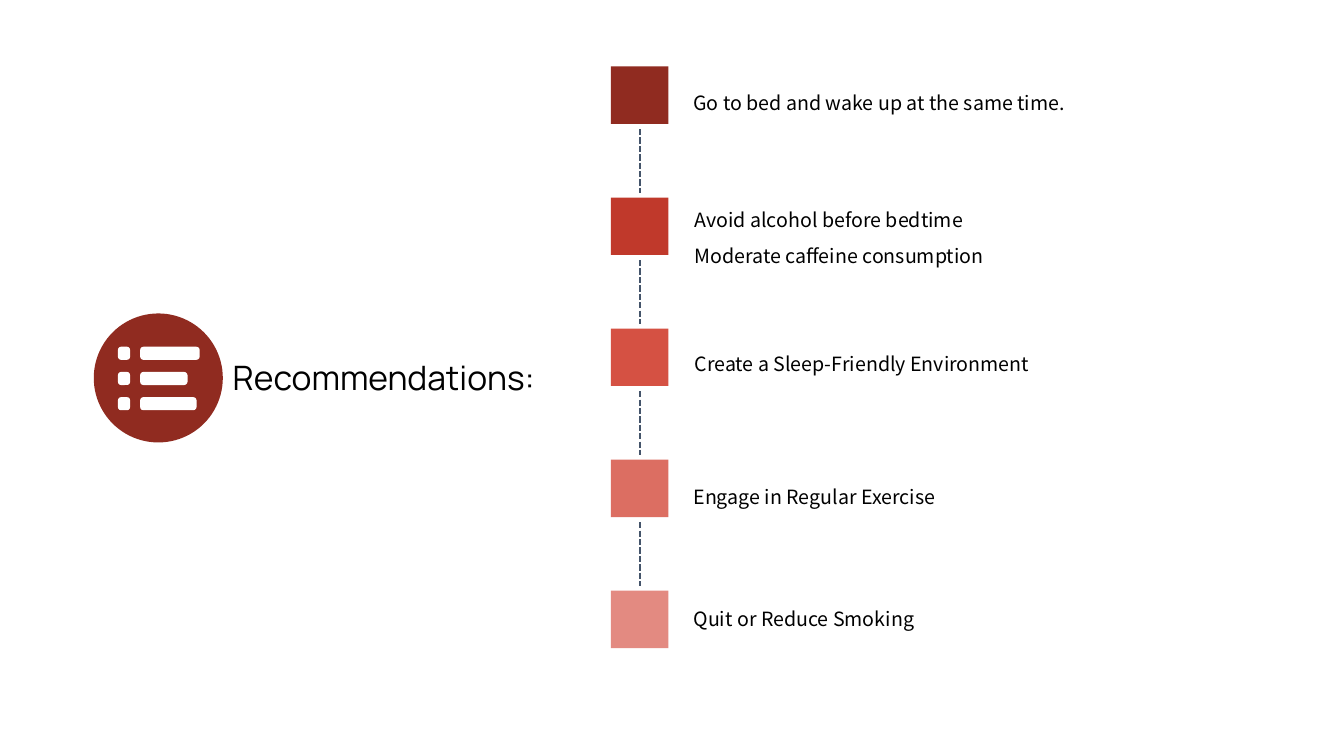
"""Build the sleep recommendations slide with a five-step vertical timeline."""
from dataclasses import dataclass

import pptx
import pptx.dml.color
import pptx.enum.dml
import pptx.enum.shapes
import pptx.oxml
import pptx.util


@dataclass(frozen=True)
class Theme:
    dark: str = "902B20"
    steps: tuple = ("902B20", "C0392B", "D55143", "DC6E62", "E38A81")
    dash: str = "44546A"
    white: str = "FFFFFF"
    text: str = "000000"
    title_font: str = "Manrope"
    body_font: str = "Noto Sans CJK SC"
    title_size: int = 24
    body_size: int = 14


theme = Theme()
PX = 9144
SHAPE = pptx.enum.shapes.MSO_SHAPE
RGB = pptx.dml.color.RGBColor.from_string


def add_block(shapes, kind, box, color):
    s = shapes.add_shape(kind, *(v * PX for v in box))
    s.shadow.inherit = False
    s.fill.solid()
    s.fill.fore_color.rgb = RGB(color)
    s.line.fill.background()
    return s


def add_text(shapes, box, lines, font, size, spacing):
    tf = shapes.add_textbox(*(v * PX for v in box)).text_frame
    tf.word_wrap = True
    tf.text = "\n".join(lines)
    for p in tf.paragraphs:
        p.line_spacing = spacing
        p.font.name = font
        p.font.size = pptx.util.Pt(size)
        p.font.color.rgb = RGB(theme.text)


prs = pptx.Presentation()
prs.slide_width, prs.slide_height = 1333 * PX, 750 * PX
shapes = prs.slides.add_slide(prs.slide_layouts[6]).shapes

icon = shapes.add_group_shape().shapes
add_block(icon, SHAPE.OVAL, (93, 311, 128, 128), theme.dark)
for row, bar_width in enumerate((59, 47, 56)):
    for x, width in ((117, 12), (139, bar_width)):
        s = add_block(icon, SHAPE.ROUNDED_RECTANGLE,
                      (x, 344 + 25 * row, width, 13), theme.white)
        s.adjustments[0] = 0.25

add_text(shapes, (221, 349, 335, 50), ["Recommendations:"],
         theme.title_font, theme.title_size, 1.0)

SQUARE, STEP, FIRST_TOP, LEFT = 57, 130, 66, 606
AXIS = 635
for i, color in enumerate(theme.steps):
    top = FIRST_TOP + i * STEP
    add_block(shapes, SHAPE.RECTANGLE, (LEFT, top, SQUARE, SQUARE), color)
    if i < len(theme.steps) - 1:
        link = shapes.add_connector(pptx.enum.shapes.MSO_CONNECTOR.STRAIGHT,
                                    AXIS * PX, (top + 62) * PX, AXIS * PX, (top + 125) * PX)
        link.line.color.rgb = RGB(theme.dash)
        link.line.width = pptx.util.Pt(1.5)
        link.line.dash_style = pptx.enum.dml.MSO_LINE.SQUARE_DOT
        link._element.spPr.append(pptx.oxml.parse_xml(
            '<a:effectLst xmlns:a="http://schemas.openxmlformats.org/drawingml/2006/main"/>'))

recommendations = (
    ((678, 74, 433, 41), ["Go to bed and wake up at the same time."], 1.5),
    ((679, 190, 347, 77), ["Avoid alcohol before bedtime", "Moderate caffeine consumption"], 1.5),
    ((679, 333, 364, 41), ["Create a Sleep-Friendly Environment"], 1.5),
    ((678, 464, 364, 41), ["Engage in Regular Exercise"], 1.5),
    ((678, 597, 364, 34), ["Quit or Reduce Smoking"], 1.0),
)
for box, lines, spacing in recommendations:
    add_text(shapes, box, lines, theme.body_font, theme.body_size, spacing)

prs.save("out.pptx")
